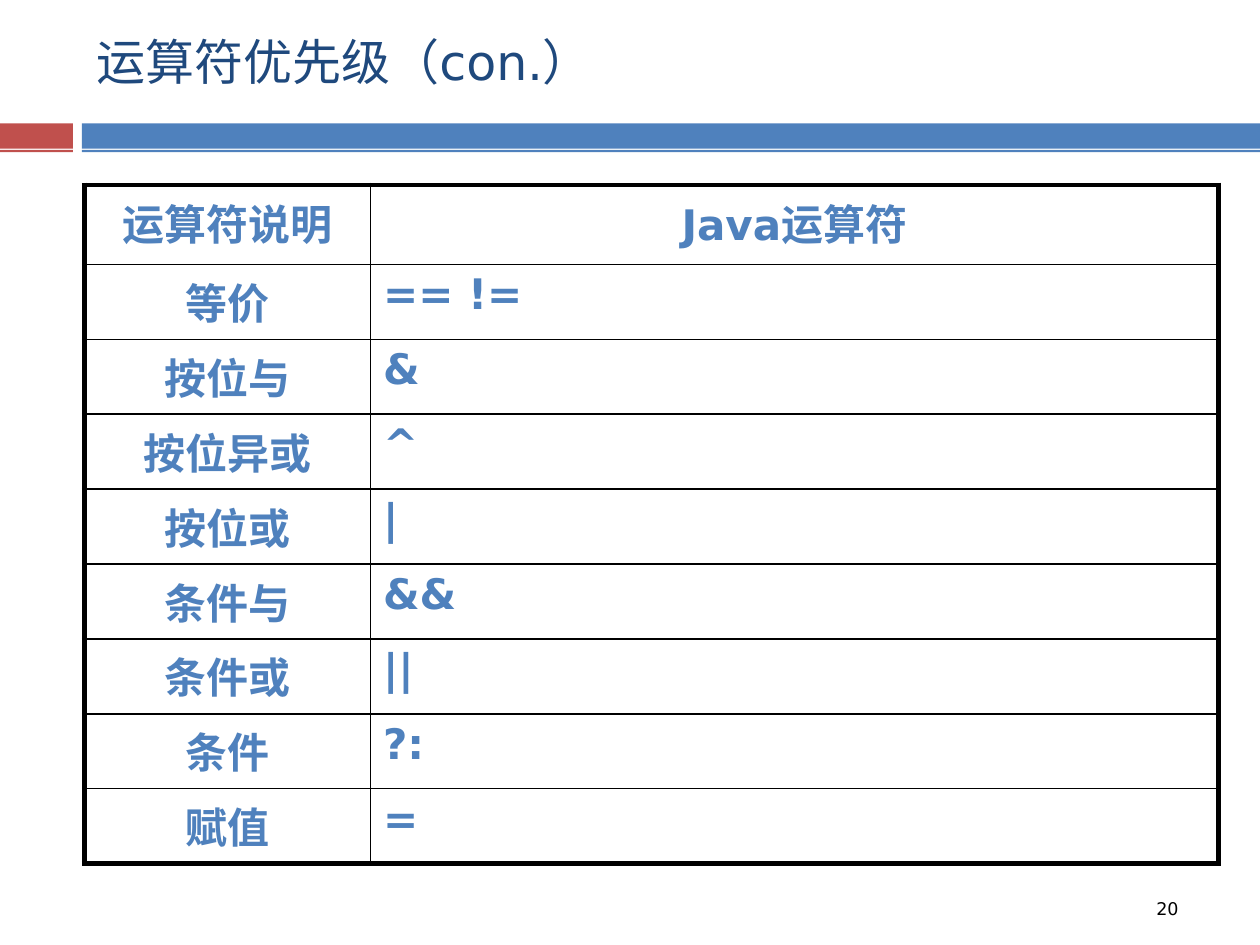
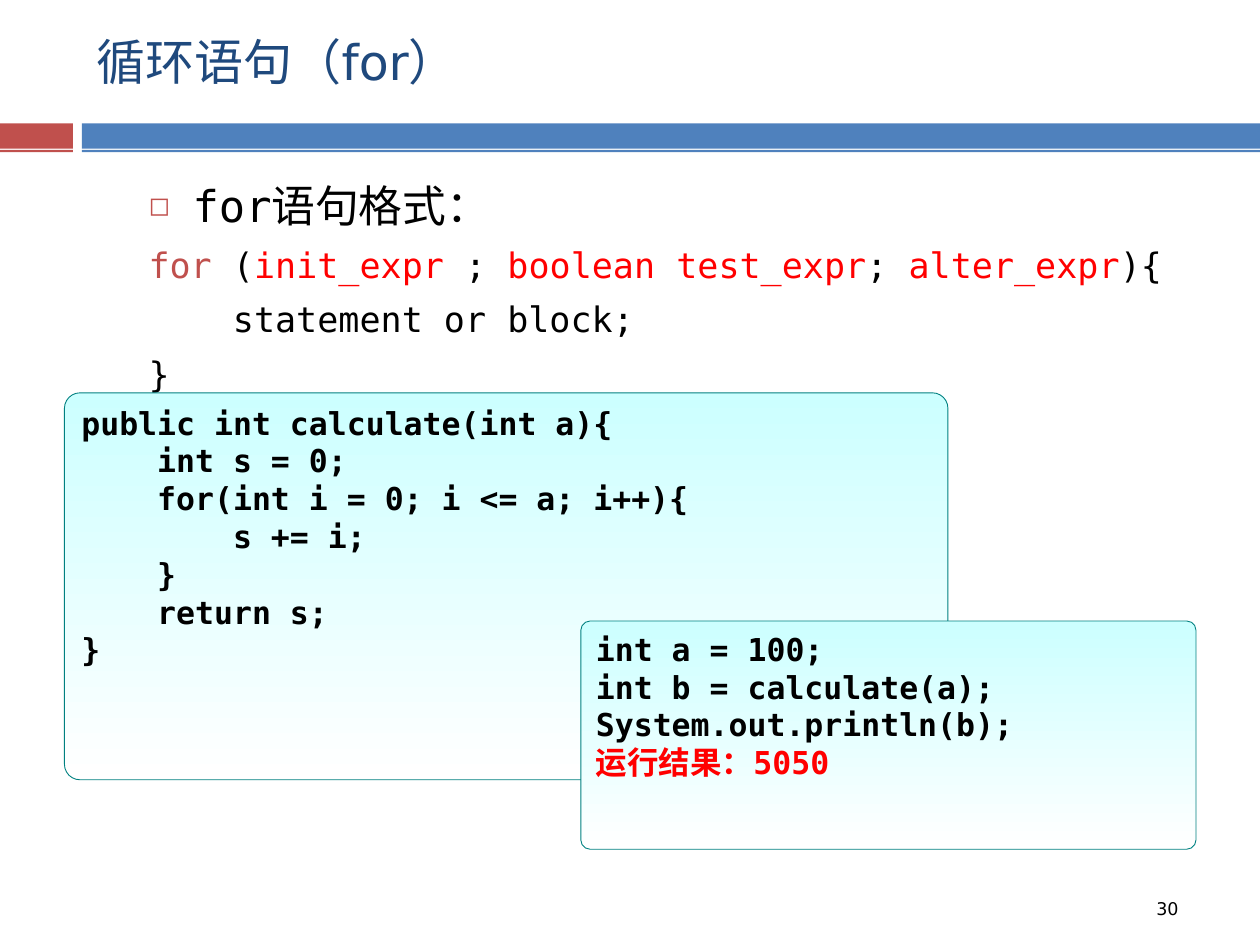
from lxml.etree import SubElement
from pptx import Presentation
from pptx.dml.color import RGBColor
from pptx.enum.shapes import MSO_SHAPE
from pptx.enum.text import MSO_ANCHOR, MSO_AUTO_SIZE, PP_ALIGN
from pptx.oxml import parse_xml
from pptx.oxml.ns import nsdecls, qn
from pptx.util import Cm, Pt

RED, BLUE, NAVY = "C0504D", "4F81BD", "1F497D"
BLACK, WHITE, BRIGHT_RED = "000000", "FFFFFF", "FF0000"
CYAN, TEAL = "CCFFFF", "008080"

SANS, MONO = "DejaVu Sans", "DejaVu Sans Mono"
TITLE_FONT = {"name": SANS, "size": Pt(28), "bold": False}
NUMBER_FONT = {"name": SANS, "size": Pt(10)}
TABLE_FONT = {"name": SANS, "size": Pt(24), "bold": True}
HEADING_FONT = {"name": MONO, "size": Pt(25)}
SYNTAX_FONT = {"name": MONO, "size": Pt(20)}
CODE_FONT = {"name": MONO, "size": Pt(18), "bold": True}

TITLE_BOX = (1.7, 0.03, 22.66, 2.39)
NUMBER_BOX = (23.06, 17.98, 1.07, 0.94)
BODY_BOX = (2.74, 3.48, 22.66, 13.49)
TABLE_LEFT, TABLE_TOP = 1.7, 3.73
COLUMN_WIDTHS = (5.77, 17.09)
HEADER_HEIGHT, ROW_HEIGHT = 1.6, 1.51
BAND_COLUMNS = ((0, 1.47, RED), (1.65, 23.75, BLUE))
BAND_ROWS = ((2.49, 0.51), (3.02, 0.05))

OPERATORS = [
    ("运算符说明", "Java运算符"),
    ("等价", "== !="),
    ("按位与", "&"),
    ("按位异或", "^"),
    ("按位或", "|"),
    ("条件与", "&&"),
    ("条件或", "||"),
    ("条件", "?:"),
    ("赋值", "="),
]

FOR_HEADING = [("for语句格式：", BLACK)]
FOR_SYNTAX = [
    [
        ("for", RED),
        (" (", BLACK),
        ("init_expr", BRIGHT_RED),
        (" ; ", BLACK),
        ("boolean test_expr", BRIGHT_RED),
        ("; ", BLACK),
        ("alter_expr", BRIGHT_RED),
        ("){", BLACK),
    ],
    [("    statement or block;", BLACK)],
    [("}", BLACK)],
]

CALCULATE_CODE = """public int calculate(int a){
    int s = 0;
    for(int i = 0; i <= a; i++){
        s += i;
    }
    return s;
}"""
CALL_CODE = """int a = 100;
int b = calculate(a);
System.out.println(b);"""
CODE_BOXES = [
    ((1.3, 7.92, 17.81, 7.8), [[(line, BLACK)] for line in CALCULATE_CODE.split("\n")]),
    (
        (11.71, 12.52, 12.4, 4.6),
        [[(line, BLACK)] for line in CALL_CODE.split("\n")] + [[("运行结果：5050", BRIGHT_RED)]],
    ),
]


def color(value):
    return RGBColor.from_string(value)


def lengths(box):
    return [Cm(value) for value in box]


def place(shape, box):
    for name, value in zip(("left", "top", "width", "height"), lengths(box)):
        setattr(shape, name, value)


def write_runs(paragraph, runs, font_format, alignment=PP_ALIGN.LEFT):
    paragraph.alignment = alignment
    for text, hex_color in runs:
        run = paragraph.add_run()
        run.text = text
        for name, value in font_format.items():
            setattr(run.font, name, value)
        run.font.color.rgb = color(hex_color)


def write_lines(text_frame, lines, font_format):
    for index, runs in enumerate(lines):
        paragraph = text_frame.add_paragraph() if index else text_frame.paragraphs[0]
        write_runs(paragraph, runs, font_format)


def add_frame(slide, title, number):
    for top, height in BAND_ROWS:
        for left, width, fill in BAND_COLUMNS:
            band = slide.shapes.add_shape(MSO_SHAPE.RECTANGLE, *lengths((left, top, width, height)))
            band.shadow.inherit = False
            band.fill.solid()
            band.fill.fore_color.rgb = color(fill)
            band.line.fill.background()
    title_shape = slide.shapes.title
    place(title_shape, TITLE_BOX)
    title_shape.text_frame.vertical_anchor = MSO_ANCHOR.MIDDLE
    write_lines(title_shape.text_frame, [[(title, NAVY)]], TITLE_FONT)
    number_box = slide.shapes.add_textbox(*lengths(NUMBER_BOX))
    number_box.text_frame.word_wrap = True
    write_lines(number_box.text_frame, [[(number, BLACK)]], NUMBER_FONT)


def set_borders(cell, widths):
    properties = cell._tc.get_or_add_tcPr()
    for index, (side, width) in enumerate(widths.items()):
        properties.insert(index, parse_xml(
            f'<a:ln{side} {nsdecls("a")} w="{Pt(width)}"><a:solidFill>'
            f'<a:srgbClr val="{BLACK}"/></a:solidFill></a:ln{side}>'
        ))


def add_operator_table(slide):
    last_row, last_column = len(OPERATORS) - 1, len(COLUMN_WIDTHS) - 1
    heights = [HEADER_HEIGHT] + [ROW_HEIGHT] * last_row
    box = (TABLE_LEFT, TABLE_TOP, sum(COLUMN_WIDTHS), sum(heights))
    table = slide.shapes.add_table(len(OPERATORS), len(COLUMN_WIDTHS), *lengths(box)).table
    table.first_row = table.horz_banding = False
    for column, width in zip(table.columns, COLUMN_WIDTHS):
        column.width = Cm(width)
    for row_index, (row, height) in enumerate(zip(table.rows, heights)):
        row.height = Cm(height)
        for column_index, cell in enumerate(row.cells):
            cell.fill.solid()
            cell.fill.fore_color.rgb = color(WHITE)
            outer_sides = {
                "L": column_index == 0,
                "R": column_index == last_column,
                "T": row_index == 0,
                "B": row_index == last_row,
            }
            set_borders(cell, {side: 3 if outer else 1 for side, outer in outer_sides.items()})
            centred = row_index == 0 or column_index == 0
            write_runs(
                cell.text_frame.paragraphs[0],
                [(OPERATORS[row_index][column_index], BLUE)],
                TABLE_FONT,
                PP_ALIGN.CENTER if centred else PP_ALIGN.LEFT,
            )


def set_bullet(paragraph, character=None):
    properties = paragraph._p.get_or_add_pPr()
    properties.set("marL", str(Cm(0.89)))
    properties.set("indent", str(-Cm(0.89)))
    if character is None:
        SubElement(properties, qn("a:buNone"))
        return
    bullet_color = SubElement(properties, qn("a:buClr"))
    SubElement(bullet_color, qn("a:srgbClr"), val=RED)
    SubElement(properties, qn("a:buSzPct"), val="60000")
    SubElement(properties, qn("a:buFont"), typeface=SANS)
    SubElement(properties, qn("a:buChar"), char=character)


def add_for_syntax(slide):
    body = slide.placeholders[1]
    place(body, BODY_BOX)
    text_frame = body.text_frame
    text_frame.auto_size = MSO_AUTO_SIZE.NONE
    heading = text_frame.paragraphs[0]
    heading.space_before = Pt(0)
    set_bullet(heading, "◻")
    write_runs(heading, FOR_HEADING, HEADING_FONT)
    for runs in FOR_SYNTAX:
        paragraph = text_frame.add_paragraph()
        paragraph.space_before = Pt(7)
        set_bullet(paragraph)
        write_runs(paragraph, runs, SYNTAX_FONT)


def add_code_box(slide, box, lines):
    shape = slide.shapes.add_shape(MSO_SHAPE.ROUNDED_RECTANGLE, *lengths(box))
    shape.adjustments[0] = 0.04
    shape.shadow.inherit = False
    shape.fill.gradient()
    shape.fill.gradient_angle = 270
    for stop, position, hex_color in zip(shape.fill.gradient_stops, (0, 1), (CYAN, WHITE)):
        stop.position = position
        stop.color.rgb = color(hex_color)
    shape.line.color.rgb = color(TEAL)
    shape.line.width = Pt(0.5)
    shape.text_frame.word_wrap = True
    shape.text_frame.vertical_anchor = MSO_ANCHOR.TOP
    write_lines(shape.text_frame, lines, CODE_FONT)


def main():
    presentation = Presentation()
    presentation.slide_width, presentation.slide_height = Cm(25.4), Cm(19.05)
    layouts = presentation.slide_layouts

    operator_slide = presentation.slides.add_slide(layouts.get_by_name("Title Only"))
    add_frame(operator_slide, "运算符优先级（con.）", "20")
    add_operator_table(operator_slide)

    loop_slide = presentation.slides.add_slide(layouts.get_by_name("Title and Content"))
    add_frame(loop_slide, "循环语句（for）", "30")
    add_for_syntax(loop_slide)
    for box, lines in CODE_BOXES:
        add_code_box(loop_slide, box, lines)

    presentation.save("out.pptx")


if __name__ == "__main__":
    main()
